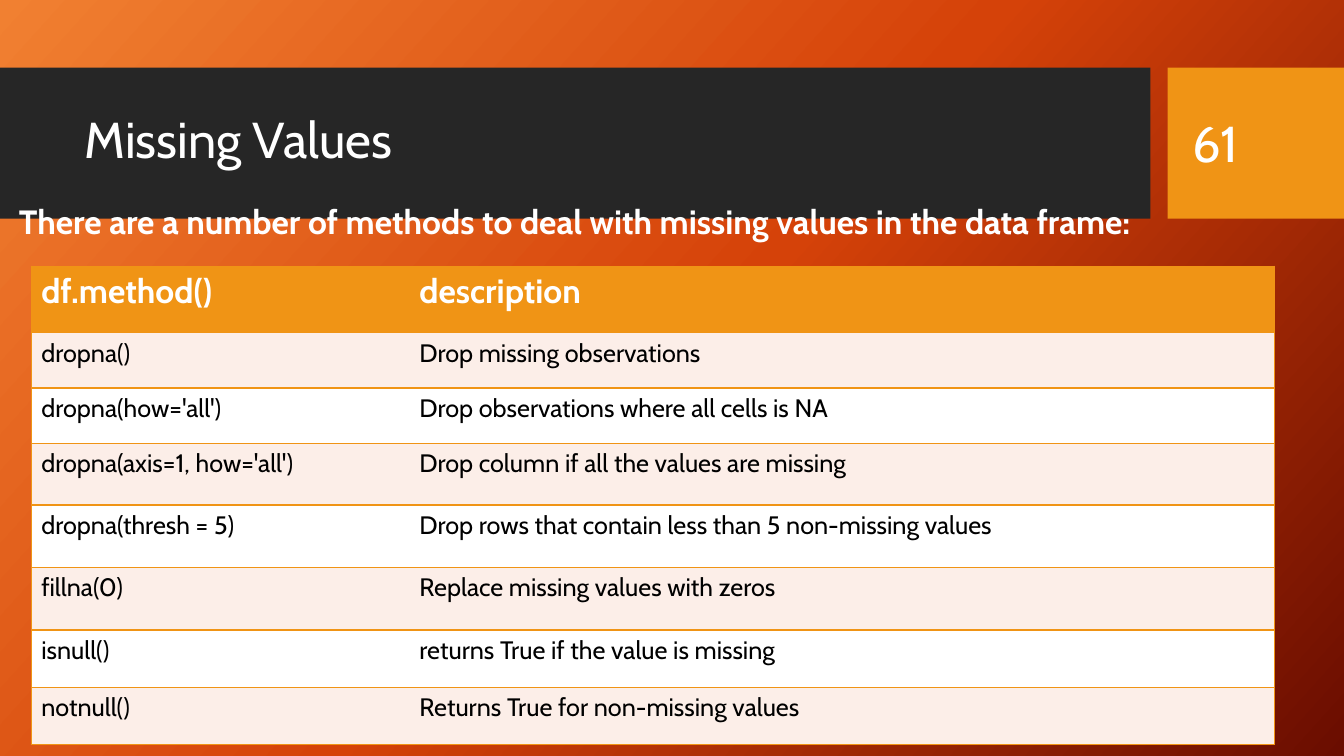
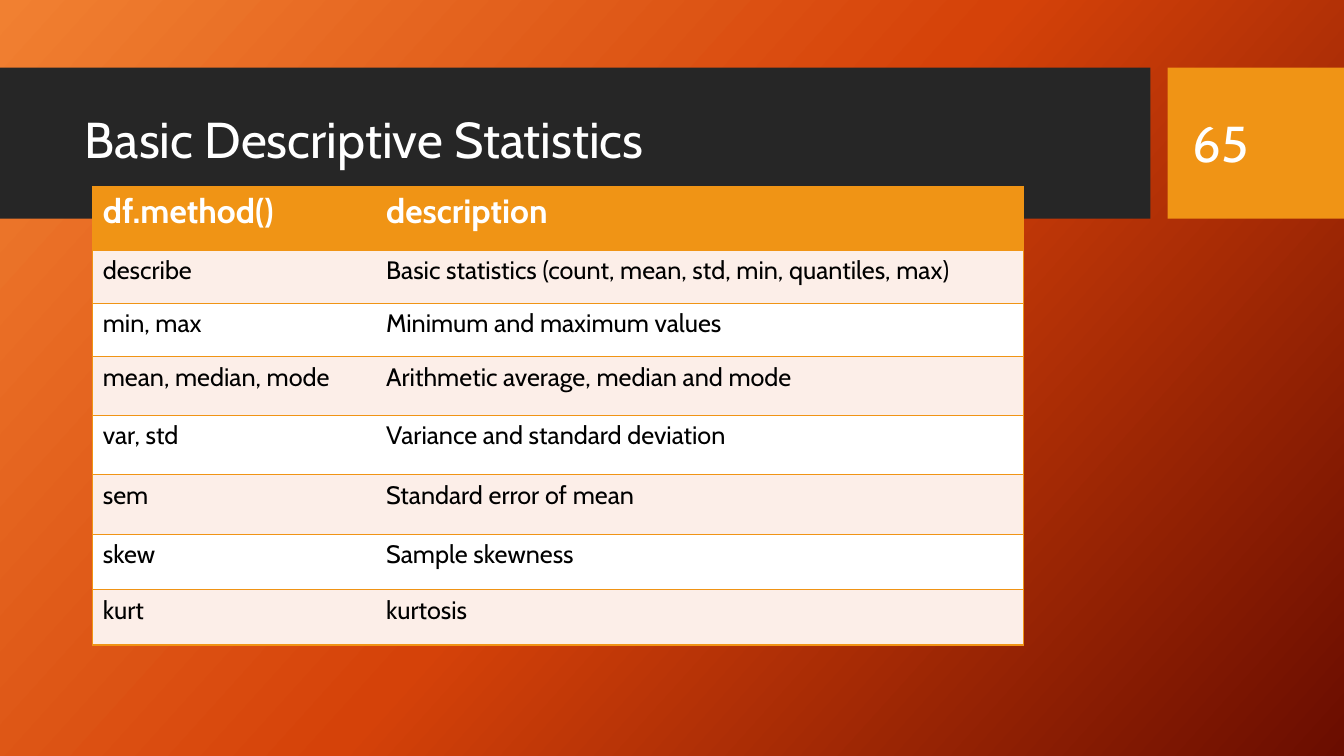
from lxml import etree
from pptx import Presentation
from pptx.dml.color import RGBColor
from pptx.enum.shapes import MSO_SHAPE
from pptx.enum.text import MSO_ANCHOR, PP_ALIGN
from pptx.oxml import parse_xml
from pptx.oxml.ns import qn
from pptx.util import Inches, Pt

RECTANGLE = MSO_SHAPE.RECTANGLE
MIDDLE = MSO_ANCHOR.MIDDLE
LEFT = PP_ALIGN.LEFT

FONT = "Cabin"
COLORS = {
    "band": "262626",
    "accent": "F09415",
    "stripe": "FCEEE8",
    "white": "FFFFFF",
    "black": "000000",
}
GRADIENT = [(0, "F18031"), (50, "D54209"), (100, "6A0D00")]
GRADIENT_ANGLE = 42

BANDS = [((0, 0.67, 11.41, 1.5), "band"), ((11.58, 0.67, 1.75, 1.5), "accent")]
TITLE_AREA = (0.74, 0.82, 10.51, 1.18)
NUMBER_AREA = (11.73, 0.82, 1.26, 1.19)
LEAD_AREA = (0.09, 1.94, 13, 0.5)

HEADER = ("df.method()", "description")
PAGES = [
    {
        "title": "Missing Values",
        "number": "61",
        "lead": "There are a number of methods to deal with missing values in the data frame:",
        "origin": (0.31, 2.64),
        "columns": (3.75, 8.58),
        "heights": (0.66, 0.55, 0.55, 0.61, 0.62, 0.62, 0.57, 0.57),
        "rows": [
            ("dropna()", "Drop missing observations"),
            ("dropna(how='all')", "Drop observations where all cells is NA"),
            ("dropna(axis=1, how='all')", "Drop column if all the values are missing"),
            ("dropna(thresh = 5)", "Drop rows that contain less than 5 non-missing values"),
            ("fillna(0)", "Replace missing values with zeros"),
            ("isnull()", "returns True if the value is missing"),
            ("notnull()", "Returns True for non-missing values"),
        ],
    },
    {
        "title": "Basic Descriptive Statistics",
        "number": "65",
        "lead": None,
        "origin": (0.92, 1.85),
        "columns": (2.81, 6.42),
        "heights": (0.63, 0.53, 0.53, 0.58, 0.59, 0.59, 0.55, 0.55),
        "rows": [
            ("describe", "Basic statistics (count, mean, std, min, quantiles, max)"),
            ("min, max", "Minimum and maximum values"),
            ("mean, median, mode", "Arithmetic average, median and mode"),
            ("var, std", "Variance and standard deviation"),
            ("sem", "Standard error of mean"),
            ("skew", "Sample skewness"),
            ("kurt", "kurtosis"),
        ],
    },
]


def color(name):
    return RGBColor.from_string(COLORS[name])


def inches(values):
    return [Inches(value) for value in values]


def write(frame, text, size, color_name="white", bold=False):
    frame.text = text
    para = frame.paragraphs[0]
    para.alignment = LEFT
    font = para.runs[0].font
    font.name, font.size, font.bold = FONT, Pt(size), bold
    font.color.rgb = color(color_name)
    return para


def set_background(master):
    fill = master.background.fill
    fill.gradient()
    gradient = master.element.find(".//" + qn("p:bgPr")).find(qn("a:gradFill"))
    stops = "".join(
        f'<a:gs pos="{position * 1000}"><a:srgbClr val="{value}"/></a:gs>'
        for position, value in GRADIENT
    )
    replacement = parse_xml(
        '<a:gradFill xmlns:a="http://schemas.openxmlformats.org/drawingml/2006/main" '
        f'rotWithShape="1"><a:gsLst>{stops}</a:gsLst>'
        f'<a:lin ang="{GRADIENT_ANGLE * 60000}" scaled="0"/></a:gradFill>'
    )
    gradient.getparent().replace(gradient, replacement)


def add_bands(layout, page):
    """Draw the bands on a page, then move them behind the layout's placeholders."""
    tree = layout.shapes.element
    for position, (area, color_name) in enumerate(BANDS):
        band = page.shapes.add_shape(RECTANGLE, *inches(area))
        band.shadow.inherit = False
        band.fill.solid()
        band.fill.fore_color.rgb = color(color_name)
        band.line.fill.background()
        tree.insert(2 + position, band.element)


def place_title(layout):
    title = next(shape for shape in layout.placeholders if shape.placeholder_format.idx == 0)
    title.left, title.top, title.width, title.height = inches(TITLE_AREA)


def set_borders(cell, drawn_sides):
    properties = cell._tc.get_or_add_tcPr()
    for position, side in enumerate("LRTB"):
        line = etree.Element(qn("a:ln" + side), w=str(Pt(1)))
        if side in drawn_sides:
            fill = etree.SubElement(line, qn("a:solidFill"))
            etree.SubElement(fill, qn("a:srgbClr"), val=COLORS["accent"])
        else:
            etree.SubElement(line, qn("a:noFill"))
        properties.insert(position, line)


def add_method_table(page, content):
    rows = [HEADER] + content["rows"]
    columns, heights = content["columns"], content["heights"]
    size = (sum(columns), sum(heights))
    table = page.shapes.add_table(
        len(rows), len(columns), *inches(content["origin"] + size)
    ).table
    for column, width in zip(table.columns, columns):
        column.width = Inches(width)
    for index, (row, height, texts) in enumerate(zip(table.rows, heights, rows)):
        row.height = Inches(height)
        is_header = index == 0
        fill_name = "accent" if is_header else ("white", "stripe")[index % 2]
        for cell, text, sides in zip(row.cells, texts, ("LTB", "RTB")):
            if is_header:
                write(cell.text_frame, text, 24, bold=True)
            else:
                write(cell.text_frame, text, 18, "black")
            cell.fill.solid()
            cell.fill.fore_color.rgb = color(fill_name)
            set_borders(cell, sides)


def add_text(page, area, text, size, bold=False):
    frame = page.shapes.add_textbox(*inches(area)).text_frame
    frame.word_wrap = True
    write(frame, text, size, bold=bold)
    return frame


def add_page(page, content):
    frame = page.shapes.title.text_frame
    frame.vertical_anchor = MIDDLE
    write(frame, content["title"], 36).line_spacing = 0.9
    add_text(page, NUMBER_AREA, content["number"], 36).vertical_anchor = MIDDLE
    if content["lead"]:
        add_text(page, LEAD_AREA, content["lead"], 24, bold=True)
    add_method_table(page, content)


def main():
    deck = Presentation()
    deck.slide_width, deck.slide_height = Inches(13.33), Inches(7.5)
    layout = deck.slide_layouts[5]
    set_background(deck.slide_master)
    place_title(layout)
    pages = [deck.slides.add_slide(layout) for _ in PAGES]
    add_bands(layout, pages[0])
    for page, content in zip(pages, PAGES):
        add_page(page, content)
    deck.save("out.pptx")


if __name__ == "__main__":
    main()
